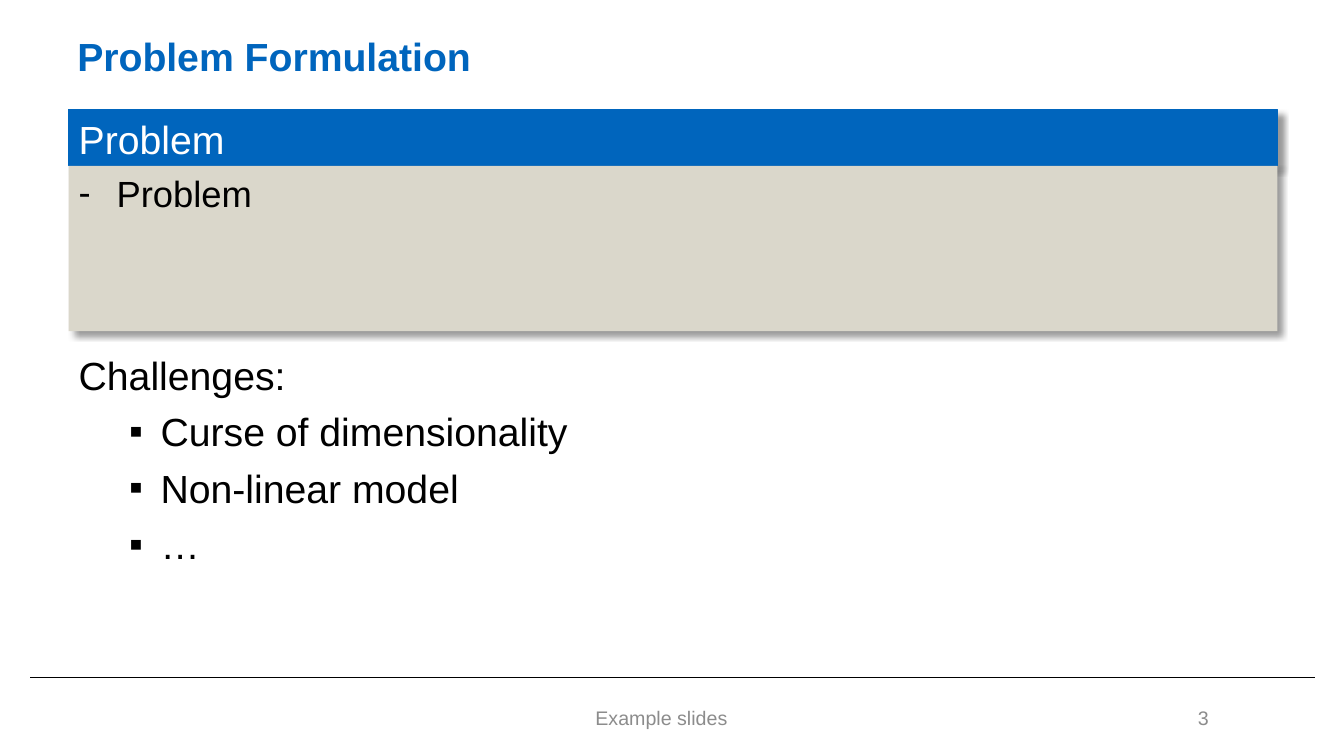
"""Build the Problem Formulation slide."""
from lxml import etree
from pptx import Presentation
from pptx.dml.color import RGBColor
from pptx.enum import shapes, text
from pptx.oxml import ns
from pptx.util import Pt

TITLE = "Problem Formulation"
BAND = [("Problem", "plain")]
PANEL = [("Problem", "dash")]
CHALLENGES = [
    ("Challenges:", "plain"),
    ("Curse of dimensionality", "square"),
    ("Non-linear model", "square"),
    ("…", "square"),
]
FOOTER = "Example slides"
NUMBER = "3"

THEME = {
    "font": "Arial", "blue": "0065BD", "beige": "DAD7CB", "black": "000000",
    "white": "FFFFFF", "gray": "8C8C8C", "heading": 28, "panel": 26, "footer": 14,
}
STYLES = {
    "plain": (0, None, 27, 27),
    "dash": (0, "-", 27, 27),
    "square": (1, "▪", 58.5, 22.5),
}
LEFT, WIDTH = 49, 863.5
BAND_TOP, BAND_HEIGHT, PANEL_HEIGHT = 78.5, 40, 118
PANEL_TOP = BAND_TOP + BAND_HEIGHT
CHALLENGES_TOP = PANEL_TOP + PANEL_HEIGHT + 11
FOOTER_TOP, FOOTER_HEIGHT = 497.5, 29.5
RULE_Y = 484


def color(name):
    """Return a theme colour."""
    return RGBColor.from_string(THEME[name])


def place(shape, left, top, width, height):
    """Move and size a shape."""
    shape.left, shape.top = Pt(left), Pt(top)
    shape.width, shape.height = Pt(width), Pt(height)


def prepare_frame(shape, anchor):
    """Set wrapping and anchoring, and return the text frame."""
    frame = shape.text_frame
    frame.word_wrap = True
    frame.auto_size = text.MSO_AUTO_SIZE.NONE
    frame.vertical_anchor = anchor
    return frame


def add_run(paragraph, words, size, tint, bold=False):
    """Add one formatted run."""
    run = paragraph.add_run()
    run.text = words
    font = run.font
    font.name, font.size, font.bold = THEME["font"], Pt(THEME[size]), bold
    font.color.rgb = color(tint)


def write_line(shape, words, size, tint, alignment, bold=False):
    """Write a single vertically centred line."""
    paragraph = prepare_frame(shape, text.MSO_ANCHOR.MIDDLE).paragraphs[0]
    paragraph.alignment = alignment
    add_run(paragraph, words, size, tint, bold)


def set_bullet(paragraph, mark, margin, hanging):
    """Set the bullet and hanging indent."""
    properties = paragraph._p.get_or_add_pPr()
    properties.set("marL", str(Pt(margin)))
    properties.set("indent", str(-Pt(hanging)))
    if mark:
        etree.SubElement(properties, ns.qn("a:buFont"), typeface=THEME["font"])
        etree.SubElement(properties, ns.qn("a:buChar"), char=mark)
    else:
        etree.SubElement(properties, ns.qn("a:buNone"))


def write_list(shape, items, size, tint):
    """Write a list into a body placeholder."""
    frame = prepare_frame(shape, text.MSO_ANCHOR.TOP)
    for index, (words, style) in enumerate(items):
        paragraph = frame.add_paragraph() if index else frame.paragraphs[0]
        level, mark, margin, hanging = STYLES[style]
        paragraph.level = level
        set_bullet(paragraph, mark, margin, hanging)
        paragraph.space_before = Pt(6.5 if index else 0)
        add_run(paragraph, words, size, tint)


def fill_block(shape, tint):
    """Give a block its fill and drop shadow."""
    shape.fill.solid()
    shape.fill.fore_color.rgb = color(tint)
    shape.shadow.inherit = False
    effects = shape._element.spPr.find(ns.qn("a:effectLst"))
    shadow = etree.SubElement(
        effects, ns.qn("a:outerShdw"), blurRad=str(Pt(4)), dist=str(Pt(5)),
        dir=str(45 * 60000), algn="tl", rotWithShape="0")
    tone = etree.SubElement(shadow, ns.qn("a:srgbClr"), val=THEME["black"])
    etree.SubElement(tone, ns.qn("a:alpha"), val="40000")


def add_rule(slide):
    """Add the line above the footer."""
    rule = slide.shapes.add_connector(
        shapes.MSO_CONNECTOR.STRAIGHT, Pt(939), Pt(RULE_Y), Pt(21.5), Pt(RULE_Y))
    rule.line.color.rgb = color("black")
    rule.line.width = Pt(1)
    etree.SubElement(rule._element.spPr, ns.qn("a:effectLst"))


def main():
    """Create and save the presentation."""
    presentation = Presentation()
    presentation.slide_width, presentation.slide_height = Pt(960), Pt(540)
    slide = presentation.slides.add_slide(presentation.slide_layouts[4])
    title = slide.shapes.title
    band, challenges, panel, spare = list(slide.placeholders)[1:]
    spare._element.getparent().remove(spare._element)

    add_rule(slide)
    place(title, 48, 11.5, 687, 57)
    write_line(title, TITLE, "heading", "blue", text.PP_ALIGN.LEFT, True)

    for left, width, words, alignment in (
        (162.5, 620, FOOTER, text.PP_ALIGN.CENTER),
        (782.5, 88, NUMBER, text.PP_ALIGN.RIGHT),
    ):
        box = slide.shapes.add_textbox(
            Pt(left), Pt(FOOTER_TOP), Pt(width), Pt(FOOTER_HEIGHT))
        write_line(box, words, "footer", "gray", alignment)

    place(challenges, LEFT, CHALLENGES_TOP, WIDTH, 230.5)
    write_list(challenges, CHALLENGES, "heading", "black")
    place(band, LEFT, BAND_TOP, WIDTH, BAND_HEIGHT)
    write_list(band, BAND, "heading", "white")
    fill_block(band, "blue")
    band.line.color.rgb = color("blue")
    band.line.width = Pt(0.75)
    place(panel, LEFT, PANEL_TOP, WIDTH, PANEL_HEIGHT)
    write_list(panel, PANEL, "panel", "black")
    fill_block(panel, "beige")
    presentation.save("out.pptx")


if __name__ == "__main__":
    main()
